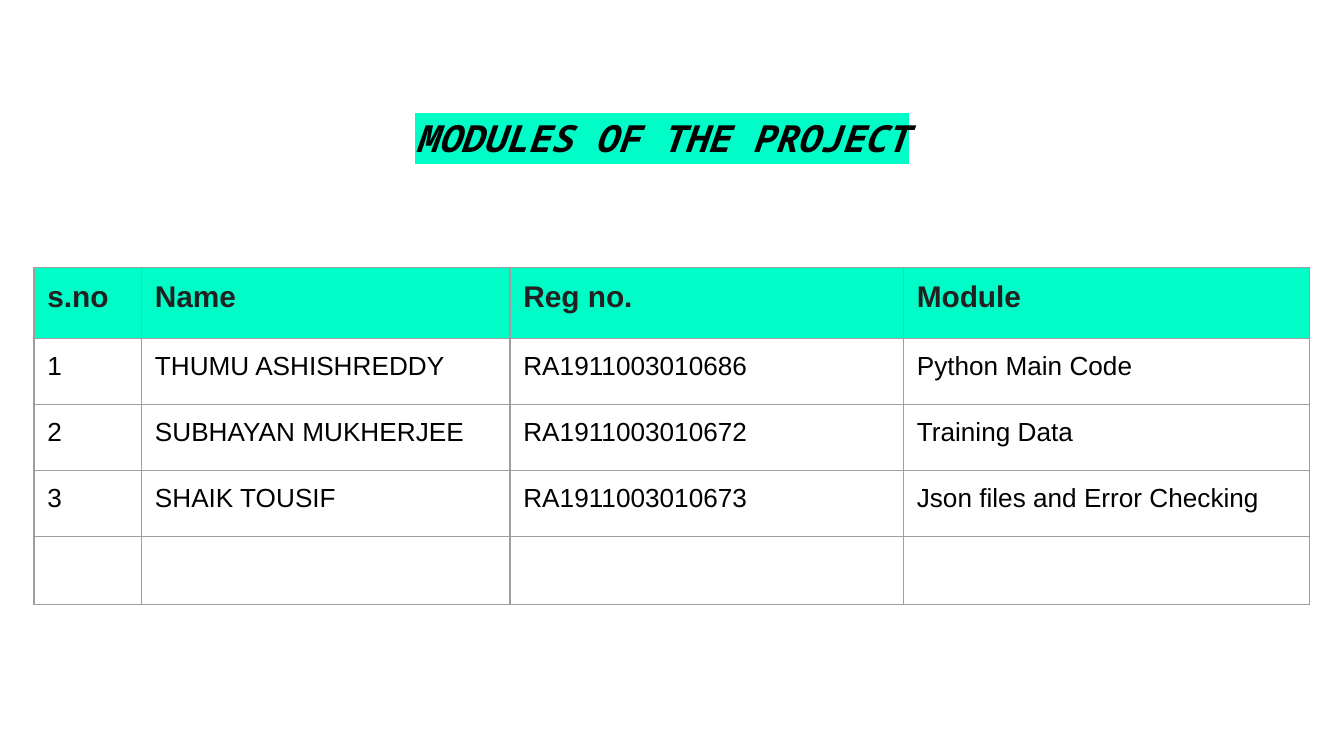
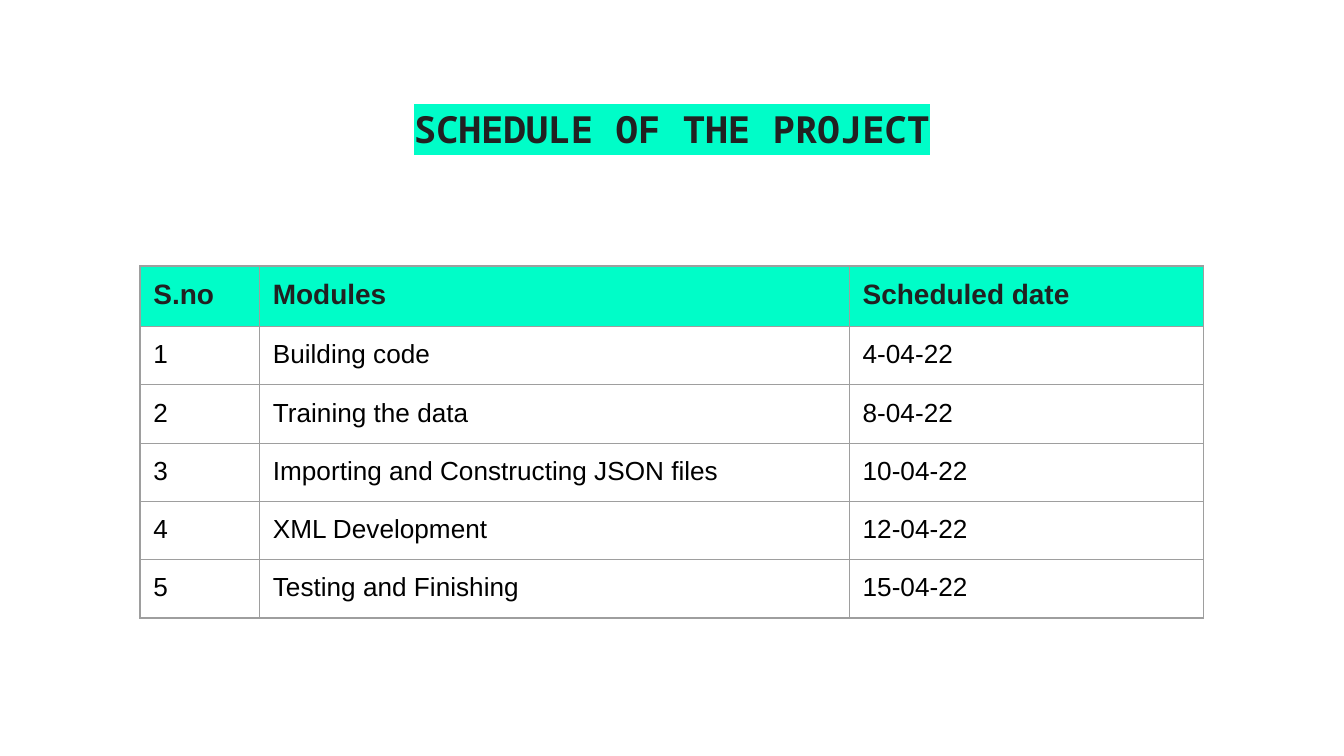
from lxml import etree
from pptx import Presentation
from pptx.dml.color import RGBColor
from pptx.enum import text
from pptx.oxml import ns
from pptx.util import Pt

COLORS = {"accent": "00FDC8", "dark": "212121", "black": "000000", "border": "9E9E9E"}
INSET = Pt(7.2)
BORDER_WIDTH = Pt(0.75)

# Content of each slide; lengths in points
slides = [
    {
        "title": "MODULES OF THE PROJECT",
        "title_box": (215.3, 54.7, 290, 39),
        "title_align": text.PP_ALIGN.LEFT,
        "title_color": "black",
        "italic": True,
        "table_at": (18.2, 143.2),
        "columns": (57.6, 197.4, 210.8, 217.7),
        "header_height": 38.2,
        "row_height": 35.4,
        "header_size": 16,
        "rows": [
            ("s.no", "Name", "Reg no.", "Module"),
            ("1", "THUMU ASHISHREDDY", "RA1911003010686", "Python Main Code"),
            ("2", "SUBHAYAN MUKHERJEE", "RA1911003010672", "Training Data"),
            ("3", "SHAIK TOUSIF", "RA1911003010673", "Json files and Error Checking"),
            ("", "", "", ""),
        ],
    },
    {
        "title": "SCHEDULE OF THE PROJECT",
        "title_box": (145, 49.8, 430, 39),
        "title_align": text.PP_ALIGN.CENTER,
        "title_color": "dark",
        "italic": False,
        "table_at": (75, 142.5),
        "columns": (64, 316, 190),
        "header_height": 30,
        "row_height": 30,
        "header_size": 15,
        "rows": [
            ("S.no", "Modules", "Scheduled date"),
            ("1", "Building code", "4-04-22"),
            ("2", "Training the data", "8-04-22"),
            ("3", "Importing and Constructing JSON files", "10-04-22"),
            ("4", "XML Development", "12-04-22"),
            ("5", "Testing and Finishing", "15-04-22"),
        ],
    },
]


def style_run(run, font_name, size, color, bold):
    run.font.size = Pt(size)
    run.font.bold = bold
    run.font.color.rgb = RGBColor.from_string(COLORS[color])
    run.font.name = font_name


def add_borders(cell):
    properties = cell._tc.get_or_add_tcPr()
    for position, side in enumerate(("lnL", "lnR", "lnT", "lnB")):
        line = etree.Element(ns.qn(f"a:{side}"), w=str(BORDER_WIDTH))
        fill = etree.SubElement(line, ns.qn("a:solidFill"))
        etree.SubElement(fill, ns.qn("a:srgbClr"), val=COLORS["border"])
        properties.insert(position, line)


prs = Presentation()
prs.slide_width, prs.slide_height = Pt(720), Pt(405)

for content in slides:
    slide = prs.slides.add_slide(prs.slide_layouts[6])

    # Table
    rows, columns = content["rows"], content["columns"]
    heights = [content["header_height"]] + [content["row_height"]] * (len(rows) - 1)
    left, top = content["table_at"]
    table = slide.shapes.add_table(
        len(rows), len(columns), Pt(left), Pt(top), Pt(sum(columns)), Pt(sum(heights))
    ).table
    table.first_row = table.horz_banding = False
    for column, width in zip(table.columns, columns):
        column.width = Pt(width)

    for r, (values, height) in enumerate(zip(rows, heights)):
        table.rows[r].height = Pt(height)
        is_header = r == 0
        for c, value in enumerate(values):
            cell = table.cell(r, c)
            cell.margin_left = cell.margin_right = INSET
            cell.margin_top = cell.margin_bottom = INSET
            if is_header:
                cell.fill.solid()
                cell.fill.fore_color.rgb = RGBColor.from_string(COLORS["accent"])
            else:
                cell.fill.background()
            add_borders(cell)
            cell.text_frame.text = value
            for run in cell.text_frame.paragraphs[0].runs:
                size = content["header_size"] if is_header else 14
                style_run(run, "Arial", size, "dark" if is_header else "black", is_header)

    # Highlighted title
    title = slide.shapes.add_textbox(*map(Pt, content["title_box"])).text_frame
    title.word_wrap = True
    title.auto_size = text.MSO_AUTO_SIZE.SHAPE_TO_FIT_TEXT
    title.margin_left = title.margin_right = INSET
    title.margin_top = title.margin_bottom = INSET
    title.text = content["title"]
    heading = title.paragraphs[0]
    heading.alignment = content["title_align"]
    run = heading.runs[0]
    style_run(run, "Noto Sans Mono", 20, content["title_color"], True)
    run.font.italic = content["italic"]
    highlight = etree.Element(ns.qn("a:highlight"))
    etree.SubElement(highlight, ns.qn("a:srgbClr"), val=COLORS["accent"])
    run._r.get_or_add_rPr().find(ns.qn("a:solidFill")).addnext(highlight)

prs.save("out.pptx")
